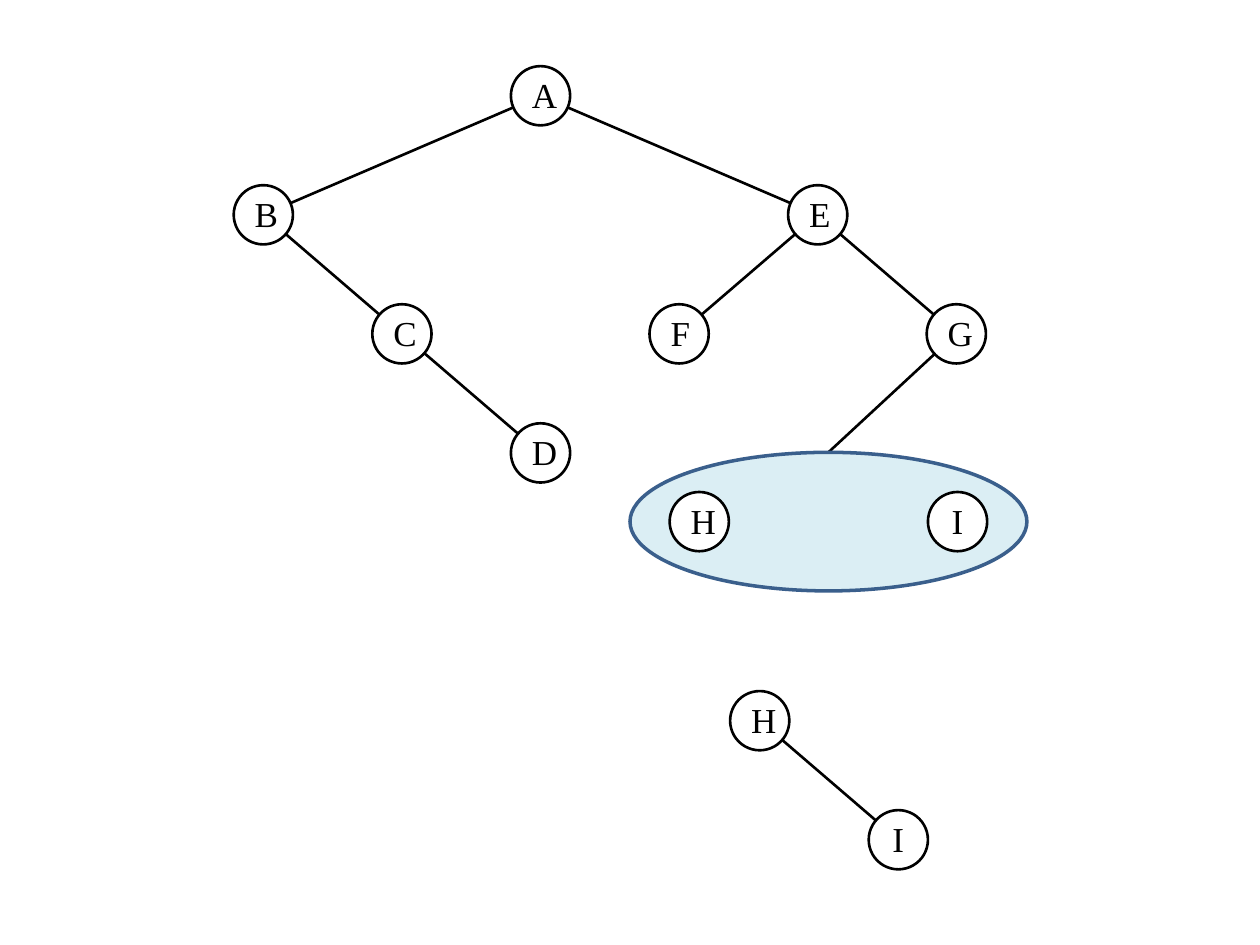
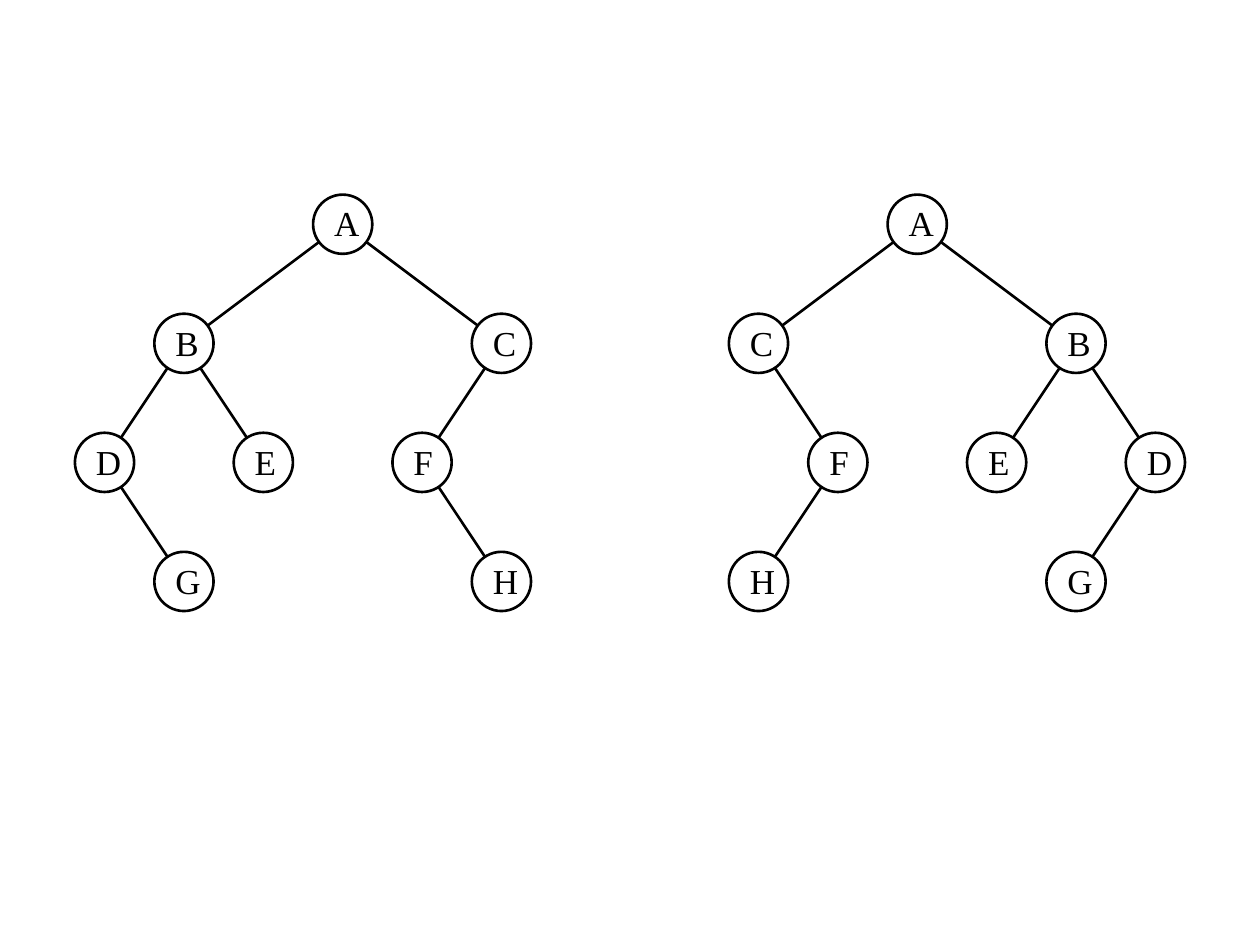
from pptx import Presentation
from pptx.dml.color import RGBColor
from pptx.enum.shapes import MSO_CONNECTOR, MSO_SHAPE
from pptx.enum.text import MSO_ANCHOR, PP_ALIGN
from pptx.oxml.ns import qn
from pptx.util import Inches, Pt
from lxml.etree import SubElement

COLORS = {"ink": "000000", "paper": "FFFFFF", "group": "DBEEF4", "group_line": "3A5F8C"}
FONT = "Times New Roman"
NODE_SIZE = 0.47
ROW_STEP = 1.89 / 2
WIDE_STEP, NARROW_STEP = 1.1, 0.63
SLIDE_WIDTH, SLIDE_HEIGHT = 10, 7.5

# Nodes are (column, row) steps away from the root.
MAIN_TREE = {
    "nodes": {"A": (0, 0), "B": (-2, 1), "E": (2, 1), "C": (-1, 2),
              "F": (1, 2), "G": (3, 2), "D": (0, 3)},
    "edges": ["AB", "AE", "BC", "CD", "EF", "EG"],
}
SUBTREE = {"nodes": {"H": (0, 0), "I": (1, 1)}, "edges": ["HI"]}
MIRROR_TREE = {
    "nodes": {"A": (0, 0), "B": (-2, 1), "C": (2, 1), "D": (-3, 2),
              "E": (-1, 2), "F": (1, 2), "G": (-2, 3), "H": (2, 3)},
    "edges": ["AB", "AC", "BD", "BE", "CF", "DG", "FH"],
}
MAIN_ROOT, SUBTREE_ROOT, MIRROR_ROOT = (4.29, 0.76), (6.03, 5.72), (2.72, 1.78)
GROUP = (5, 3.59, 3.15, 1.1)
GROUP_NODES = {"H": (5.55, 4.14), "I": (7.6, 4.14)}


def color(name):
    return RGBColor.from_string(COLORS[name])


def add_edge(page, start, end):
    points = [Inches(value) for value in (*start, *end)]
    edge = page.shapes.add_connector(MSO_CONNECTOR.STRAIGHT, *points)
    edge.line.color.rgb = color("ink")
    edge.line.width = Pt(1.5)
    SubElement(edge._element.spPr, qn("a:effectLst"))


def add_ellipse(page, bounds, fill, line, width):
    ellipse = page.shapes.add_shape(MSO_SHAPE.OVAL, *[Inches(value) for value in bounds])
    ellipse.shadow.inherit = False
    ellipse.fill.solid()
    ellipse.fill.fore_color.rgb = color(fill)
    ellipse.line.color.rgb = color(line)
    ellipse.line.width = Pt(width)
    return ellipse


def add_node(page, label, center):
    left, top = (value - NODE_SIZE / 2 for value in center)
    node = add_ellipse(page, (left, top, NODE_SIZE, NODE_SIZE), "paper", "ink", 1.5)
    frame = node.text_frame
    frame.text = label
    frame.word_wrap = True
    frame.vertical_anchor = MSO_ANCHOR.BOTTOM
    frame.margin_left = frame.margin_right = Inches(0.1)
    frame.margin_top, frame.margin_bottom = 0, Inches(0.01)
    paragraph = frame.paragraphs[0]
    paragraph.alignment = PP_ALIGN.CENTER
    font = paragraph.runs[0].font
    font.name, font.size = FONT, Pt(20)
    font.color.rgb = color("ink")


def place(tree, root, step):
    return {label: (root[0] + column * step, root[1] + row * ROW_STEP)
            for label, (column, row) in tree["nodes"].items()}


def draw_tree(page, tree, centers):
    for parent, child in tree["edges"]:
        add_edge(page, centers[parent], centers[child])
    for label, center in centers.items():
        add_node(page, label, center)


deck = Presentation()
deck.slide_width, deck.slide_height = Inches(SLIDE_WIDTH), Inches(SLIDE_HEIGHT)
partial_page, mirror_page = (deck.slides.add_slide(deck.slide_layouts[6]) for _ in range(2))

main_centers = place(MAIN_TREE, MAIN_ROOT, WIDE_STEP)
left, top, width, height = GROUP
add_edge(partial_page, main_centers["G"], (left + width / 2, top))
draw_tree(partial_page, MAIN_TREE, main_centers)
draw_tree(partial_page, SUBTREE, place(SUBTREE, SUBTREE_ROOT, WIDE_STEP))
add_ellipse(partial_page, GROUP, "group", "group_line", 2)
for label, center in GROUP_NODES.items():
    add_node(partial_page, label, center)

left_centers = place(MIRROR_TREE, MIRROR_ROOT, NARROW_STEP)
right_centers = {label: (SLIDE_WIDTH - x, y) for label, (x, y) in left_centers.items()}
for centers in (left_centers, right_centers):
    draw_tree(mirror_page, MIRROR_TREE, centers)

deck.save("out.pptx")
